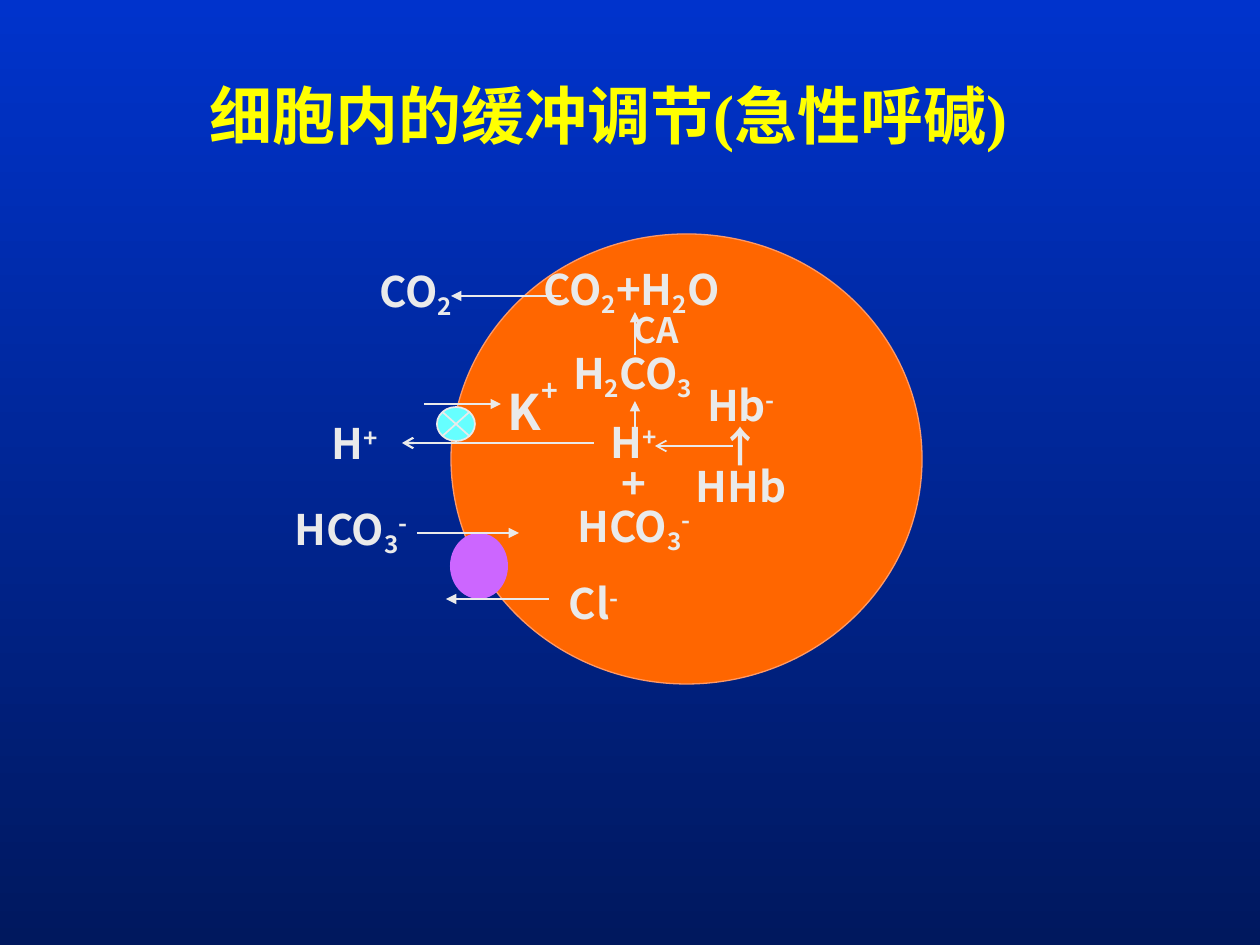
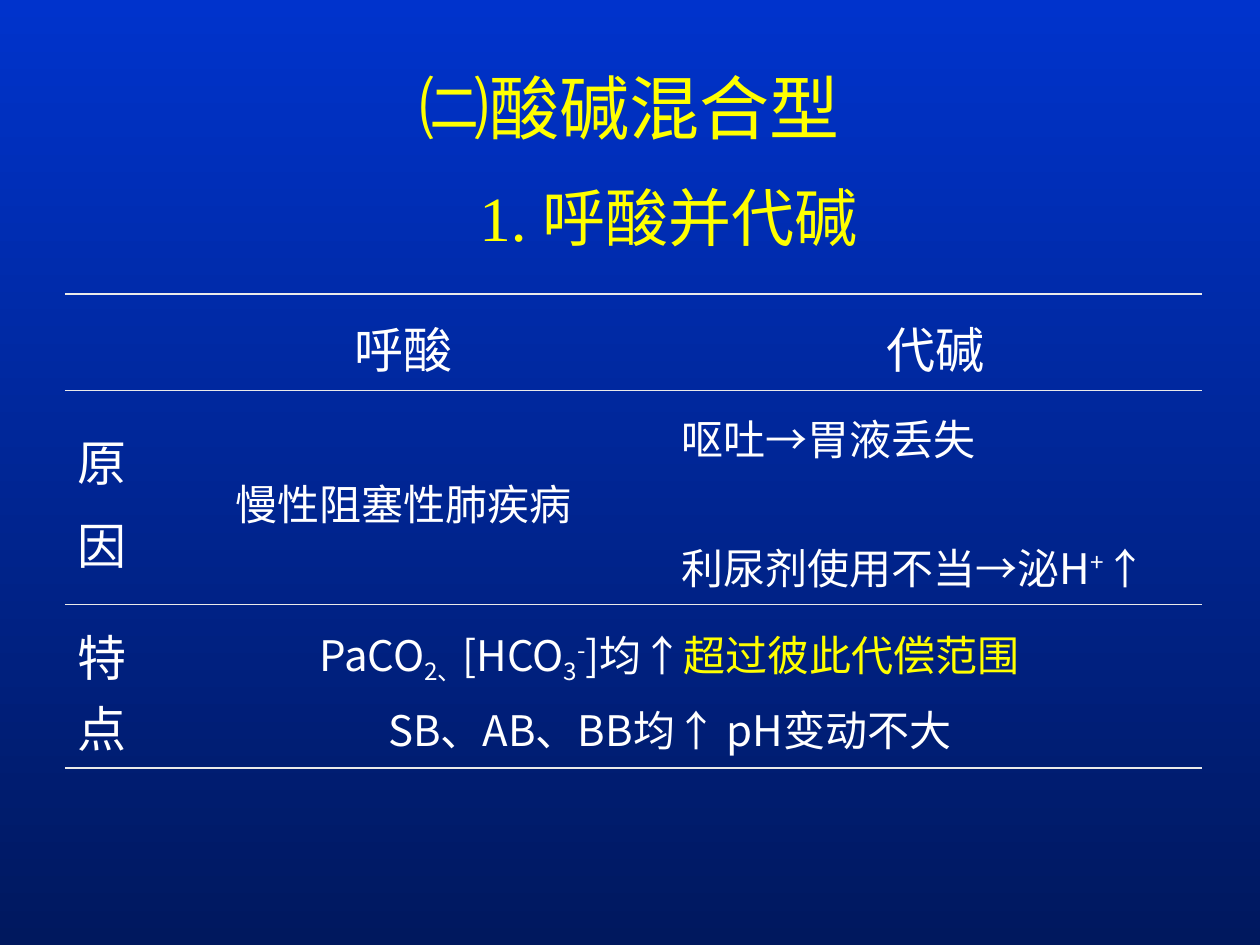
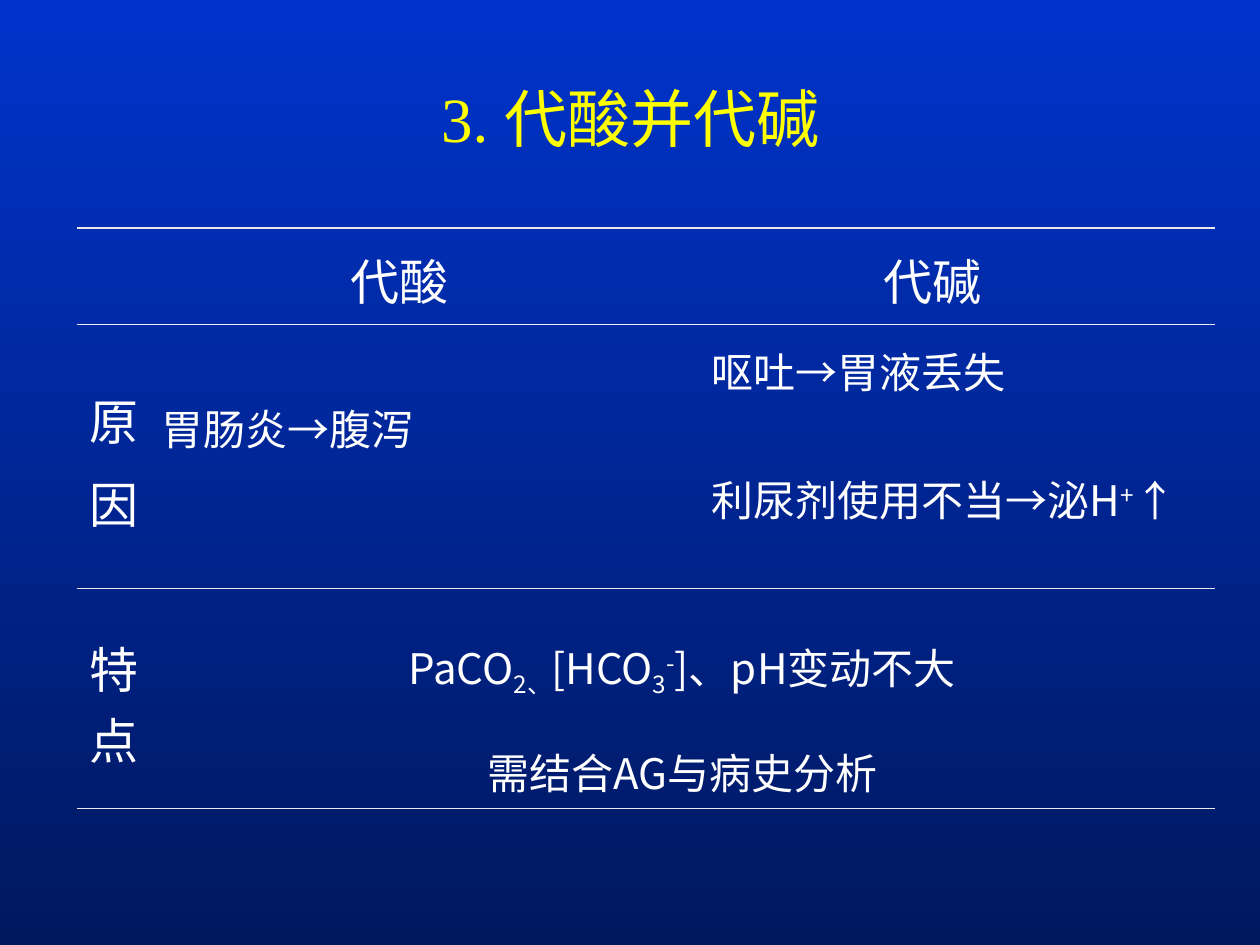
"""Build three slides on acid-base balance: a cell diagram and two tables."""
from lxml.etree import SubElement as Sub
from pptx import Presentation
from pptx.dml.color import RGBColor as Rgb
from pptx.enum.shapes import MSO_CONNECTOR as Link, MSO_SHAPE as Kind
from pptx.enum.text import MSO_ANCHOR as Anchor, MSO_AUTO_SIZE as Auto, PP_ALIGN as Align
from pptx.oxml.ns import qn
from pptx.util import Emu, Pt

HUE = {"top": "0033CC", "base": "00185E", "title": "FFFF00", "ink": "EAEAEA",
       "white": "FFFFFF", "cell": "FF6600", "rim": "FF9966", "pump": "66FFFF",
       "swap": "CC66FF"}
SANS, SERIF = "Noto Sans CJK SC", "Times New Roman"
MID, LEFT, RIGHT = Align.CENTER, Align.LEFT, Align.RIGHT
SHIFT = {"_": -20, "^": 30}

BODIES = [
    (Kind.OVAL, (451, 234, 471, 450), "cell", ("rim", 0.75)),
    (Kind.FLOWCHART_SUMMING_JUNCTION, (437, 407, 38, 34), "pump", ("ink", 1)),
    (Kind.FLOWCHART_SUMMING_JUNCTION, (450, 533, 58, 66), "swap", None),
]
ARROWS = [
    ((561, 296), (451, 296), 1.25, "triangle"),
    ((635, 427), (635, 401), 1, "triangle"),
    ((733, 446), (655, 446), 1, "arrow"),
    ((635, 355), (635, 312), 1, "triangle"),
    ((424, 404), (501, 404), 1.25, "triangle"),
    ((594, 443), (402, 443), 1.25, "arrow"),
    ((417, 533), (519, 533), 1.5, "triangle"),
    ((549, 599), (446, 599), 1.5, "triangle"),
]
LABELS = [
    ((564, 411, 140, 156), ["H|^+", "+", "HCO|_3|^-"], {"ls": 0.8}),
    ((671, 372, 140, 156), ["Hb|^-", "↑", "HHb"], {"ls": 0.8}),
    ((281, 413, 140, 156), [("H|^+", {"left": 8}), ("HCO|_3|^-", {"gap": 24})], {"ls": 0.8}),
    ((527, 255, 209, 72), ["CO|_2|+H|_2|O"], {}),
    ((528, 339, 209, 72), ["H|_2|CO|_3"], {}),
    ((621, 306, 71, 47), ["CA"], {"size": 20}),
    ((243, 257, 209, 72), ["CO|_2"], {"align": RIGHT}),
    ((508, 373, 86, 69), ["K|^+"], {"size": 28, "align": LEFT, "rise": 60, "anchor": Anchor.TOP}),
    ((569, 578, 78, 52), ["Cl|^-"], {"align": LEFT, "anchor": Anchor.TOP}),
]
SIDE = {"size": 28, "align": LEFT}
CAUSE = ["原", ("因", {"gap": 7})], SIDE
TRAIT = ["特点"], SIDE
LOSS = ["呕吐→胃液丢失", ("利尿剂使用不当→泌|H|^+|↑", {"gap": 38.5})]
TABLES = [
    {"title": ["㈡酸碱混合型", ("1. 呼酸并代碱", {"size": 36, "left": 78})],
     "spot": (94, 45, 1071, 195), "look": {"size": 40, "ls": 1.4},
     "at": (65, 294), "cols": (72, 532, 533), "rows": (96, 214, 164),
     "cells": [
         [None, (["呼酸"], {"size": 28}), (["代碱"], {"size": 28})],
         [CAUSE, (["慢性阻塞性肺疾病"], {}), (LOSS, {"align": LEFT})],
         [TRAIT, (["PaCO|_2、|[HCO|_3|^-|]均↑|*超过彼此代偿范围",
                   ("SB、AB、BB均↑ pH变动不大", {"gap": 6})], {})]]},
    {"title": ["3. 代酸并代碱"], "spot": (63, 38, 1134, 158), "look": {},
     "at": (77, 228), "cols": (72, 500, 566), "rows": (96, 264, 211),
     "cells": [
         [None, (["代酸"], {"size": 28, "anchor": Anchor.TOP}),
          (["代碱"], {"size": 28, "anchor": Anchor.TOP})],
         [CAUSE, (["胃肠炎→腹泻"], {"align": LEFT, "anchor": Anchor.TOP, "top": 73}),
          (LOSS, {"align": LEFT, "anchor": Anchor.TOP, "inset": 63})],
         [TRAIT, (["PaCO|_2、|[HCO|_3|^-|]、pH变动不大",
                   ("需结合AG与病史分析", {"gap": 6})], {"ls": 1.5, "anchor": Anchor.TOP})]]},
]


def px(n):
    return Emu(round(n * 914400 / 126))


def box(spot):
    return [px(n) for n in spot]


def rgb(name):
    return Rgb.from_string(HUE[name])


def write(frame, rows, **base):
    """Fill a frame; | splits runs, and _ ^ * mark low, high and bright ones."""
    for i, row in enumerate(rows):
        text, extra = (row, {}) if isinstance(row, str) else row
        look = {"size": 24, "font": SANS, "hue": "ink", "bold": False,
                "align": MID, "rise": 30, **base, **extra}
        para = frame.paragraphs[0] if i == 0 else frame.add_paragraph()
        para.alignment = look["align"]
        para.line_spacing = look.get("ls")
        para.space_before = Pt(look.get("gap", 0))
        if "left" in look:
            para._p.get_or_add_pPr().set("marL", str(px(look["left"])))
        for part in text.split("|"):
            mark = part[0] if part[0] in "_^*" else ""
            run = para.add_run()
            run.text = part[len(mark):]
            font = run.font
            font.size, font.bold, font.name = Pt(look["size"]), look["bold"], look["font"]
            font.color.rgb = rgb("title" if mark == "*" else look["hue"])
            props = run._r.get_or_add_rPr()
            Sub(props, qn("a:ea"), typeface=SANS)
            if mark in SHIFT:
                lift = look["rise"] if mark == "^" else SHIFT[mark]
                props.set("baseline", str(lift * 1000))


def start(deck, rows, spot, **look):
    slide = deck.slides.add_slide(deck.slide_layouts[5])
    head = slide.shapes.title
    head.left, head.top, head.width, head.height = box(spot)
    head.text_frame.auto_size = Auto.NONE
    head.text_frame.vertical_anchor = Anchor.MIDDLE
    write(head.text_frame, rows, **{"size": 36, "font": SERIF, "hue": "title", **look})
    return slide


def body(slide, kind, spot, fill, line):
    shape = slide.shapes.add_shape(kind, *box(spot))
    shape.shadow.inherit = False
    shape.fill.solid()
    shape.fill.fore_color.rgb = rgb(fill)
    if line:
        shape.line.color.rgb, shape.line.width = rgb(line[0]), Pt(line[1])
    else:
        shape.line.fill.background()


def arrow(slide, tail, tip, width, head):
    wire = slide.shapes.add_connector(Link.STRAIGHT, *box(tail + tip))
    wire.line.color.rgb, wire.line.width = rgb("ink"), Pt(width)
    Sub(wire.line._get_or_add_ln(), qn("a:tailEnd"), type=head)
    Sub(wire._element.spPr, qn("a:effectLst"))


def label(slide, spot, rows, look):
    frame = slide.shapes.add_textbox(*box(spot)).text_frame
    frame.word_wrap = True
    frame.margin_left = frame.margin_right = frame.margin_top = frame.margin_bottom = 0
    frame.vertical_anchor = look.get("anchor", Anchor.MIDDLE)
    write(frame, rows, bold=True, **look)


def edge(cell, side, width):
    line = Sub(cell._tc.get_or_add_tcPr(), qn("a:ln" + side), w=str(Pt(width)))
    if width:
        Sub(Sub(line, qn("a:solidFill")), qn("a:srgbClr"), val=HUE["ink"])
    else:
        Sub(line, qn("a:noFill"))


def grid(slide, at, cols, rows, cells):
    spot = box((*at, sum(cols), sum(rows)))
    table = slide.shapes.add_table(len(rows), len(cols), *spot).table
    table.first_row = table.horz_banding = False
    for col, n in zip(table.columns, cols):
        col.width = px(n)
    for row, n in zip(table.rows, rows):
        row.height = px(n)
    last = len(rows) - 1
    table.cell(last, 1).merge(table.cell(last, 2))
    for r in range(len(rows)):
        for c in range(len(cols)):
            cell = table.cell(r, c)
            rims = {"L": 0, "R": 0, "T": 0.45 if r else 1.08, "B": 1.08 if r == last else 0.45}
            for side, width in rims.items():
                edge(cell, side, width)
            cell.fill.background()
    for r, line in enumerate(cells):
        for c, item in enumerate(line):
            if item:
                text, look = item
                cell = table.cell(r, c)
                cell.vertical_anchor = look.get("anchor", Anchor.MIDDLE)
                cell.margin_top = px(look.get("top", 16))
                cell.margin_left = px(look.get("inset", 13))
                write(cell.text_frame, text, hue="white", **look)


def main():
    deck = Presentation()
    deck.slide_width, deck.slide_height = px(1260), px(945)
    back = deck.slide_master.background.fill
    back.gradient()
    back.gradient_angle = 270
    for stop, name in zip(back.gradient_stops, ("top", "base")):
        stop.color.rgb = rgb(name)

    slide = start(deck, ["细胞内的缓冲调节(急性呼碱)"], (84, 53, 1050, 122), bold=True)
    for item in BODIES:
        body(slide, *item)
    for item in ARROWS:
        arrow(slide, *item)
    for item in LABELS:
        label(slide, *item)

    for plan in TABLES:
        slide = start(deck, plan["title"], plan["spot"], **plan["look"])
        grid(slide, plan["at"], plan["cols"], plan["rows"], plan["cells"])
    deck.save("out.pptx")


if __name__ == "__main__":
    main()
